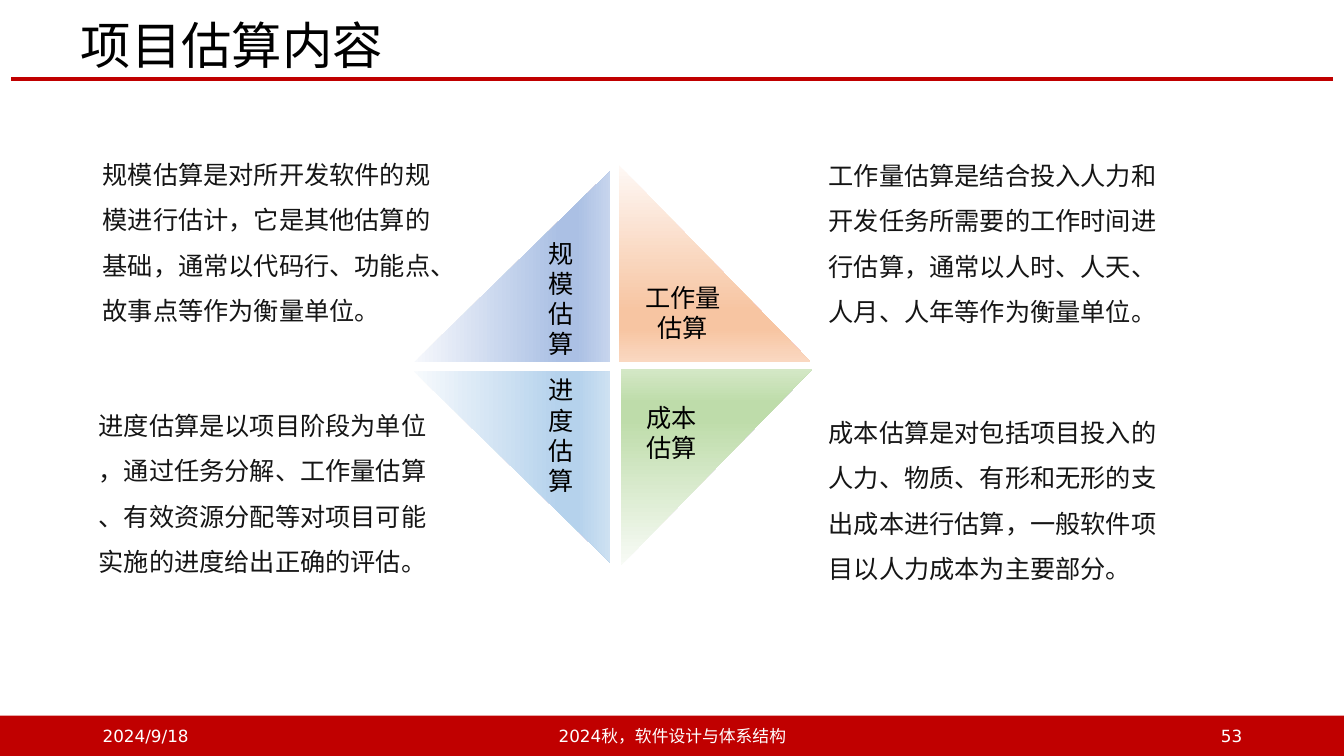
from dataclasses import dataclass

from lxml.etree import SubElement
from pptx import Presentation
from pptx.dml.color import RGBColor
from pptx.enum.shapes import MSO_CONNECTOR, MSO_SHAPE
from pptx.enum.text import MSO_ANCHOR, MSO_AUTO_SIZE, PP_ALIGN
from pptx.oxml import parse_xml
from pptx.oxml.ns import nsdecls, qn
from pptx.util import Inches, Pt


@dataclass(frozen=True)
class Theme:
    red: str = "C00000"
    white: str = "FFFFFF"
    black: str = "000000"
    ink: str = "151515"
    blue: tuple = ("F6F8FC", "ABC0E4", "ABC0E4", "C7D5ED")
    orange: tuple = ("FEF8F5", "F7C5A2", "F7C5A2", "FAD8C1")
    sky: tuple = ("F7FAFD", "B5D2EC", "B5D2EC", "CEE1F2")
    green: tuple = ("F8FBF6", "BEDCAA", "BEDCAA", "D4E8C6")
    stops: tuple = (0, 74, 83, 100)
    title_font: str = "Noto Sans CJK SC"
    label_font: str = "DejaVu Sans"
    body_font: str = "Arial"
    title_size: int = 36
    body_size: int = 18
    footer_size: int = 12


THEME = Theme()

# Label, stop colours, box, rotation, flipped, vertical text
TRIANGLES = [
    ("规模估算", THEME.blue, (4.13, 1.67, 1.9, 1.95), 270, False, True),
    ("工作量估算", THEME.orange, (6.14, 1.64, 1.9, 1.95), 0, False, False),
    ("进度估算", THEME.sky, (4.13, 3.66, 1.9, 1.95), 90, True, True),
    ("", THEME.green, (6.16, 3.66, 1.9, 1.95), 0, True, False),
]

DESCRIPTIONS = [
    ((0.92, 1.38, 3.54, 1.87),
     "规模估算是对所开发软件的规模进行估计，它是其他估算的基础，"
     "通常以代码行、功能点、故事点等作为衡量单位。"),
    ((0.88, 3.87, 3.54, 1.87),
     "进度估算是以项目阶段为单位\n，通过任务分解、工作量估算\n"
     "、有效资源分配等对项目可能\n实施的进度给出正确的评估。"),
    ((8.12, 1.39, 3.54, 1.87),
     "工作量估算是结合投入人力和\n开发任务所需要的工作时间进\n"
     "行估算，通常以人时、人天、\n人月、人年等作为衡量单位。"),
    ((8.12, 3.94, 3.54, 1.87),
     "成本估算是对包括项目投入的\n人力、物质、有形和无形的支\n"
     "出成本进行估算，一般软件项\n目以人力成本为主要部分。"),
]


def inches(box):
    return [Inches(length) for length in box]


def write(frame, text, size, font, color, align=PP_ALIGN.LEFT, spacing=None):
    """Fill a text frame, one paragraph a line, and format every run."""
    frame.text = text
    for para in frame.paragraphs:
        para.alignment = align
        if spacing:
            para.line_spacing = spacing
        for span in para.runs:
            span.font.size = Pt(size)
            span.font.name = font
            span.font.color.rgb = RGBColor.from_string(color)
            east_asian = THEME.title_font if font == THEME.title_font else THEME.label_font
            SubElement(span.font._element, qn("a:ea"), typeface=east_asian)


def add_text(page, box, text, size, font, color, align=PP_ALIGN.LEFT,
             spacing=None, anchor=MSO_ANCHOR.TOP, wrap=True, grow=False):
    frame = page.shapes.add_textbox(*inches(box)).text_frame
    frame.word_wrap = wrap
    frame.vertical_anchor = anchor
    if grow:
        frame.auto_size = MSO_AUTO_SIZE.SHAPE_TO_FIT_TEXT
    write(frame, text, size, font, color, align, spacing)


def add_header(page, box):
    left, top, width, height = box
    rule = page.shapes.add_connector(
        MSO_CONNECTOR.STRAIGHT, *inches((0.11, top + height, 13.22, top + height)))
    rule.line.color.rgb = RGBColor.from_string(THEME.red)
    rule.line.width = Pt(3)
    SubElement(rule._element.spPr, qn("a:effectLst"))

    title = page.shapes.title
    title.left, title.top, title.width, title.height = inches(box)
    title.text_frame.vertical_anchor = MSO_ANCHOR.MIDDLE
    write(title.text_frame, "项目估算内容", THEME.title_size, THEME.title_font,
          THEME.black, spacing=0.9)


def add_footer(page, box):
    left, top, width, height = box
    band = page.shapes.add_shape(MSO_SHAPE.RECTANGLE, *inches(box))
    band.shadow.inherit = False
    band.fill.solid()
    band.fill.fore_color.rgb = RGBColor.from_string(THEME.red)
    band.line.fill.background()
    for offset, cell_width, text, align in [
        (0.92, 3, "2024/9/18", PP_ALIGN.LEFT),
        (4.42, 4.5, "2024秋，软件设计与体系结构", PP_ALIGN.CENTER),
        (9.42, 3, "53", PP_ALIGN.RIGHT),
    ]:
        add_text(page, (left + offset, top, cell_width, height), text,
                 THEME.footer_size, THEME.label_font, THEME.white, align,
                 anchor=MSO_ANCHOR.MIDDLE)


def fill_gradient(shape, colors):
    """Blend the colours down the shape, turning along with it."""
    stops = "".join(
        f'<a:gs pos="{stop * 1000}"><a:srgbClr val="{color}"/></a:gs>'
        for stop, color in zip(THEME.stops, colors))
    gradient = parse_xml(
        f'<a:gradFill {nsdecls("a")} rotWithShape="1"><a:gsLst>{stops}</a:gsLst>'
        '<a:lin ang="5400000" scaled="0"/></a:gradFill>')
    shape._element.spPr.find(qn("a:prstGeom")).addnext(gradient)


def add_triangle(page, box, label, colors, rotation, flipped, vertical):
    triangle = page.shapes.add_shape(MSO_SHAPE.RIGHT_TRIANGLE, *inches(box))
    triangle.shadow.inherit = False
    triangle.rotation = rotation
    triangle.line.fill.background()
    fill_gradient(triangle, colors)
    if flipped:
        triangle._element.spPr.find(qn("a:xfrm")).set("flipV", "1")
    frame = triangle.text_frame
    frame.word_wrap = True
    frame.vertical_anchor = MSO_ANCHOR.MIDDLE
    if vertical:
        frame._txBody.bodyPr.set("vert", "vert")
    if label:
        write(frame, label, THEME.body_size, THEME.label_font, THEME.black,
              PP_ALIGN.CENTER)


def add_diamond(page):
    for label, colors, box, rotation, flipped, vertical in TRIANGLES:
        add_triangle(page, box, label, colors, rotation, flipped, vertical)
    add_text(page, (6.31, 3.94, 0.71, 0.71), "成本\n估算", THEME.body_size,
             THEME.label_font, THEME.black, PP_ALIGN.CENTER, wrap=False, grow=True)


def add_descriptions(page):
    for box, text in DESCRIPTIONS:
        add_text(page, box, text, THEME.body_size, THEME.body_font, THEME.ink,
                 spacing=1.5, grow=True)


def main():
    deck = Presentation()
    deck.slide_width, deck.slide_height = Inches(13.33), Inches(7.5)
    page = deck.slides.add_slide(deck.slide_layouts[5])
    add_header(page, (0.7, 0.18, 11.71, 0.6))
    add_footer(page, (0, 7.1, 13.33, 0.4))
    add_diamond(page)
    add_descriptions(page)
    deck.save("out.pptx")


if __name__ == "__main__":
    main()
